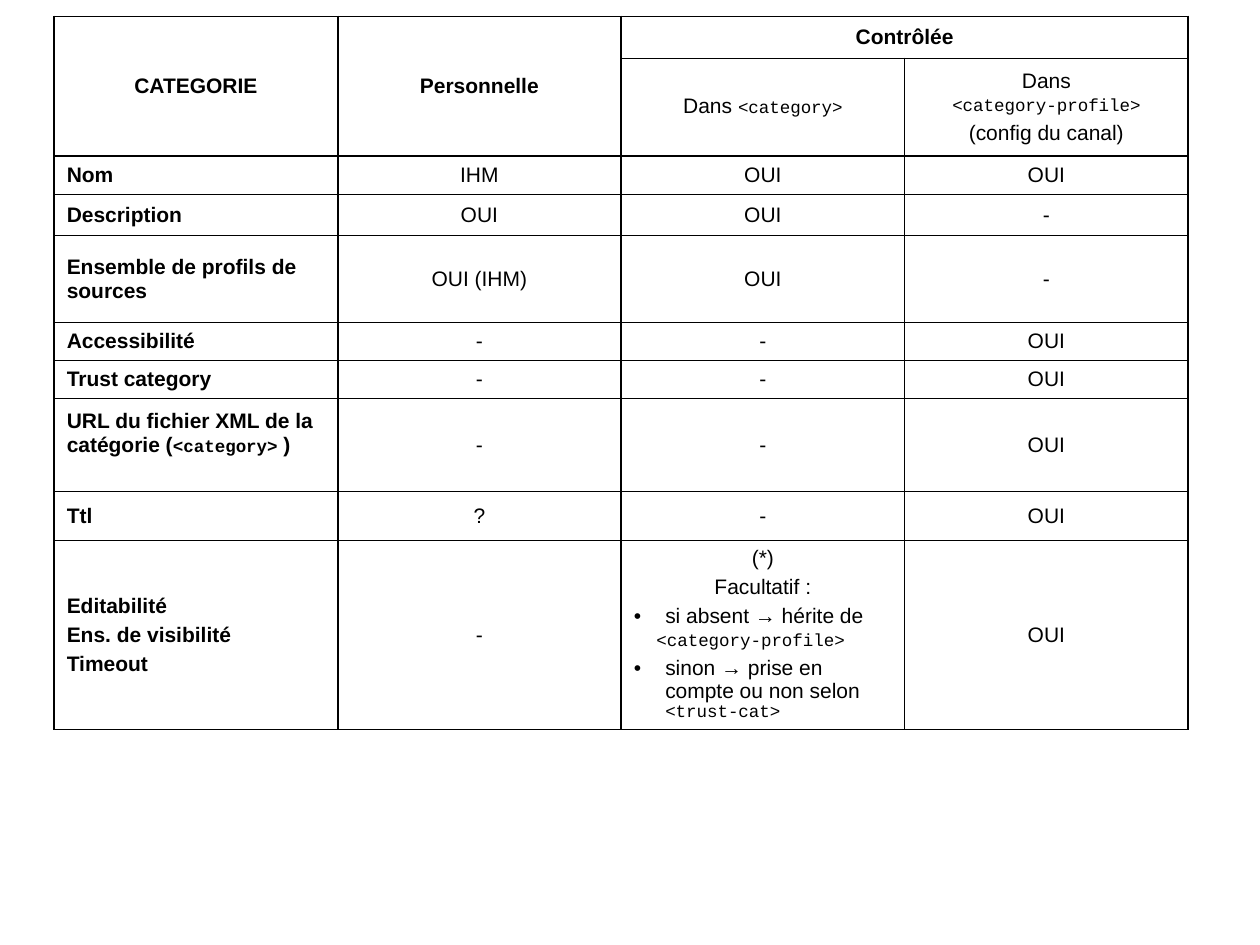
from dataclasses import dataclass

from lxml import etree
from pptx import Presentation
from pptx.dml.color import RGBColor
from pptx.enum.text import MSO_ANCHOR, PP_ALIGN
from pptx.oxml.ns import qn
from pptx.util import Inches, Pt

CENTER, LEFT = PP_ALIGN.CENTER, PP_ALIGN.LEFT
MIDDLE, TOP = MSO_ANCHOR.MIDDLE, MSO_ANCHOR.TOP


@dataclass(frozen=True)
class Theme:
    """Colours, fonts, type sizes and line widths of the slide."""
    ink: str = "000000"
    body_font: str = "Arial"
    code_font: str = "Courier New"
    body_size: float = 12
    code_size: float = 10
    text_gap: float = 3
    code_gap: float = 2.5
    thin: float = 0.45
    frame: float = 1.08
    strong: float = 1.47
    no_style: str = "{2D5ABB26-0587-4C30-8999-92F81FD0307C}"


@dataclass(frozen=True)
class Item:
    """A left-aligned line of a list, with or without a bullet."""
    text: str
    indent: float
    bullet: bool = False


THEME = Theme()
COLUMN_COUNT = 4
ROW_HEIGHTS = [0.33, 0.78, 0.3, 0.33, 0.69, 0.3, 0.3, 0.74, 0.39, 1.46]
VERTICAL_RULES = [THEME.frame, THEME.strong, THEME.strong, THEME.thin, THEME.frame]
HORIZONTAL_RULES = [THEME.frame, THEME.thin, THEME.strong] + [THEME.thin] * 7 + [THEME.frame]
MERGES = [((0, 0), (1, 0)), ((0, 1), (1, 1)), ((0, 2), (0, 3))]
HEADER_ROWS = 2
URL_ROW = 7

INHERITANCE = [
    "(*)",
    "Facultatif :",
    Item("si absent → hérite de", 0.25, True),
    Item("<category-profile>", 0.18),
    Item("sinon → prise en compte ou non selon <trust-cat>", 0.25, True),
]
CATEGORY_ROWS = [
    [["CATEGORIE"], ["Personnelle"], ["Contrôlée"], []],
    [[], [], ["Dans <category>"], ["Dans", "<category-profile>", "(config du canal)"]],
    [["Nom"], ["IHM"], ["OUI"], ["OUI"]],
    [["Description"], ["OUI"], ["OUI"], ["-"]],
    [["Ensemble de profils de sources"], ["OUI (IHM)"], ["OUI"], ["-"]],
    [["Accessibilité"], ["-"], ["-"], ["OUI"]],
    [["Trust category"], ["-"], ["-"], ["OUI"]],
    [["URL du fichier XML de la catégorie (<category> )"], ["-"], ["-"], ["OUI"]],
    [["Ttl"], ["?"], ["-"], ["OUI"]],
    [["Editabilité", "Ens. de visibilité", "Timeout"], ["-"], INHERITANCE, ["OUI"]],
]


def split_code(text):
    """Return (text, is_code) pieces, taking a <tag> as code."""
    before, opening, rest = text.partition("<")
    tag, closing, after = rest.partition(">")
    pieces = [(before, False), (opening + tag + closing, True), (after, False)]
    return [piece for piece in pieces if piece[0]]


def indent_item(paragraph, item):
    """Set the indent of a list line and its bullet."""
    properties = paragraph._p.get_or_add_pPr()
    properties.set("marL", str(Inches(item.indent)))
    if item.bullet:
        properties.set("indent", str(-Inches(item.indent)))
        colour = etree.SubElement(properties, qn("a:buClr"))
        etree.SubElement(colour, qn("a:srgbClr"), val=THEME.ink)
        etree.SubElement(properties, qn("a:buFont"), typeface=THEME.body_font)
        etree.SubElement(properties, qn("a:buChar"), char="•")


def write_lines(cell, lines, alignment, bold):
    """Write the lines of one cell, one paragraph each."""
    frame = cell.text_frame
    for index, line in enumerate(lines):
        paragraph = frame.add_paragraph() if index else frame.paragraphs[0]
        is_item = isinstance(line, Item)
        text = line.text if is_item else line
        if is_item:
            indent_item(paragraph, line)
        paragraph.alignment = LEFT if is_item else alignment
        if index:
            paragraph.space_before = Pt(THEME.code_gap if text.endswith(">") else THEME.text_gap)
        for piece, is_code in split_code(text):
            run = paragraph.add_run()
            run.text = piece
            run.font.name = THEME.code_font if is_code else THEME.body_font
            run.font.size = Pt(THEME.code_size if is_code else THEME.body_size)
            run.font.bold = bold
            run.font.color.rgb = RGBColor.from_string(THEME.ink)


def rule_cell(cell, row, column):
    """Draw the four borders of a cell, spans included."""
    bottom = row + (cell.span_height if cell.is_merge_origin else 1)
    right = column + (cell.span_width if cell.is_merge_origin else 1)
    widths = {
        "a:lnL": VERTICAL_RULES[column],
        "a:lnR": VERTICAL_RULES[right],
        "a:lnT": HORIZONTAL_RULES[row],
        "a:lnB": HORIZONTAL_RULES[bottom],
    }
    properties = cell._tc.get_or_add_tcPr()
    for side, width in widths.items():
        border = etree.SubElement(properties, qn(side), w=str(Pt(width)))
        fill = etree.SubElement(border, qn("a:solidFill"))
        etree.SubElement(fill, qn("a:srgbClr"), val=THEME.ink)


def add_category_table(slide, left, top, width):
    """Place the table of category properties in the given box."""
    heights = [Inches(height) for height in ROW_HEIGHTS]
    table = slide.shapes.add_table(
        len(heights), COLUMN_COUNT, left, top, width, sum(heights)
    ).table
    table.first_row = table.horz_banding = False
    table._tbl.tblPr.find(qn("a:tableStyleId")).text = THEME.no_style
    for row, height in zip(table.rows, heights):
        row.height = height
    for start, end in MERGES:
        table.cell(*start).merge(table.cell(*end))
    for row, contents in enumerate(CATEGORY_ROWS):
        for column, lines in enumerate(contents):
            cell = table.cell(row, column)
            if cell.is_spanned:
                continue
            is_label = column == 0 and row >= HEADER_ROWS
            write_lines(cell, lines, LEFT if is_label else CENTER, row == 0 or is_label)
            cell.vertical_anchor = MIDDLE
            rule_cell(cell, row, column)
            cell.fill.background()
    url_label = table.cell(URL_ROW, 0)
    url_label.vertical_anchor = TOP
    url_label.margin_top = Inches(0.09)


def main():
    """Build and save the slide."""
    presentation = Presentation()
    presentation.slide_width, presentation.slide_height = Inches(10), Inches(7.5)
    slide = presentation.slides.add_slide(presentation.slide_layouts[6])
    add_category_table(slide, Inches(0.43), Inches(0.13), Inches(9))
    presentation.save("out.pptx")


if __name__ == "__main__":
    main()
